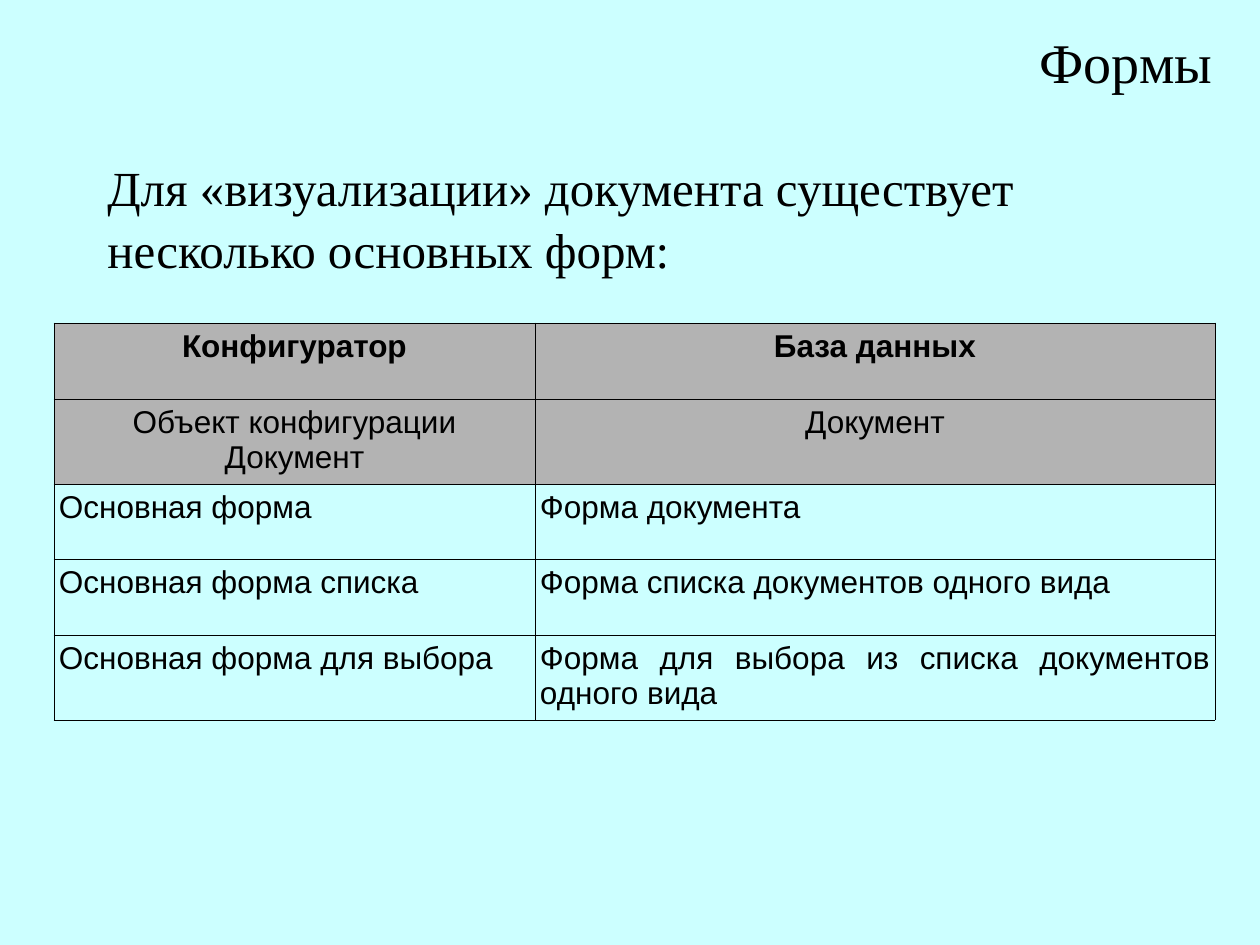
from lxml import etree
from pptx import Presentation, util as u
from pptx.dml.color import RGBColor
from pptx.enum import text as t
from pptx.oxml import ns

TITLE = "Формы"
LEAD = "Для «визуализации» документа существует несколько основных форм:"
ROWS = [
    ("Конфигуратор", "База данных"),
    ("Объект конфигурации Документ", "Документ"),
    ("Основная форма", "Форма документа"),
    ("Основная форма списка", "Форма списка документов одного вида"),
    ("Основная форма для выбора",
     "Форма для выбора из списка документов одного вида"),
]
HEADS = 2  # shaded rows at the top
COLS = (481, 680)
HIGH = (76, 85, 75, 76, 85)

THEME = {
    "back": "CCFFFF", "head": "B3B3B3", "ink": "000000",
    "serif": "Times New Roman", "sans": "Arial",
    "title": 32, "lead": 28, "cell": 18, "rule": 0.45,
}
ALIGN = t.PP_ALIGN


def px(n):
    return u.Emu(n * 914400 // 126)


def place(shape, *box):
    shape.left, shape.top, shape.width, shape.height = map(px, box)


def write(frame, words, size, face, align=ALIGN.LEFT, bold=False, space=None):
    frame.word_wrap = True
    para = frame.paragraphs[0]
    para.alignment = align
    para.line_spacing = space
    run = para.add_run()
    run.text = words
    font = run.font
    font.size, font.name, font.bold = u.Pt(size), face, bold
    font.color.rgb = RGBColor.from_string(THEME["ink"])


def paint(fill, color):
    fill.solid()
    fill.fore_color.rgb = RGBColor.from_string(color)


def border(cell):
    """Rule all four sides; sides must come before the fill in the XML."""
    props = cell._tc.get_or_add_tcPr()
    for spot, side in enumerate(("a:lnL", "a:lnR", "a:lnT", "a:lnB")):
        line = etree.Element(ns.qn(side), w=str(u.Pt(THEME["rule"])))
        fill = etree.SubElement(line, ns.qn("a:solidFill"))
        etree.SubElement(fill, ns.qn("a:srgbClr"), val=THEME["ink"])
        props.insert(spot, line)


def add_grid(slide):
    grid = slide.shapes.add_table(
        len(ROWS), len(COLS), px(54), px(323), px(sum(COLS)), px(sum(HIGH))
    ).table
    grid.first_row = grid.horz_banding = False
    for col, wide in zip(grid.columns, COLS):
        col.width = px(wide)
    for r, (row, high) in enumerate(zip(ROWS, HIGH)):
        grid.rows[r].height = px(high)
        for c, words in enumerate(row):
            cell = grid.cell(r, c)
            cell.margin_left = cell.margin_right = px(5)
            cell.margin_top = cell.margin_bottom = px(6)
            head = r < HEADS
            if head:
                paint(cell.fill, THEME["head"])
            else:
                cell.fill.background()
            border(cell)
            write(cell.text_frame, words, THEME["cell"], THEME["sans"],
                  align=ALIGN.CENTER if head else ALIGN.JUSTIFY, bold=r == 0)


def main():
    deck = Presentation()
    deck.slide_width, deck.slide_height = px(1260), px(945)
    slide = deck.slides.add_slide(deck.slide_layouts[5])
    paint(slide.background.fill, THEME["back"])

    title = slide.shapes.title
    place(title, 1017, 16, 218, 91)
    title.text_frame.vertical_anchor = t.MSO_ANCHOR.MIDDLE
    write(title.text_frame, TITLE, THEME["title"], THEME["serif"],
          align=ALIGN.CENTER)

    add_grid(slide)

    lead = slide.shapes.add_textbox(0, 0, 0, 0)
    place(lead, 95, 145, 1121, 189)
    lead.text_frame.margin_top = px(10)
    write(lead.text_frame, LEAD, THEME["lead"], THEME["serif"], space=1.05)

    deck.save("out.pptx")


if __name__ == "__main__":
    main()
